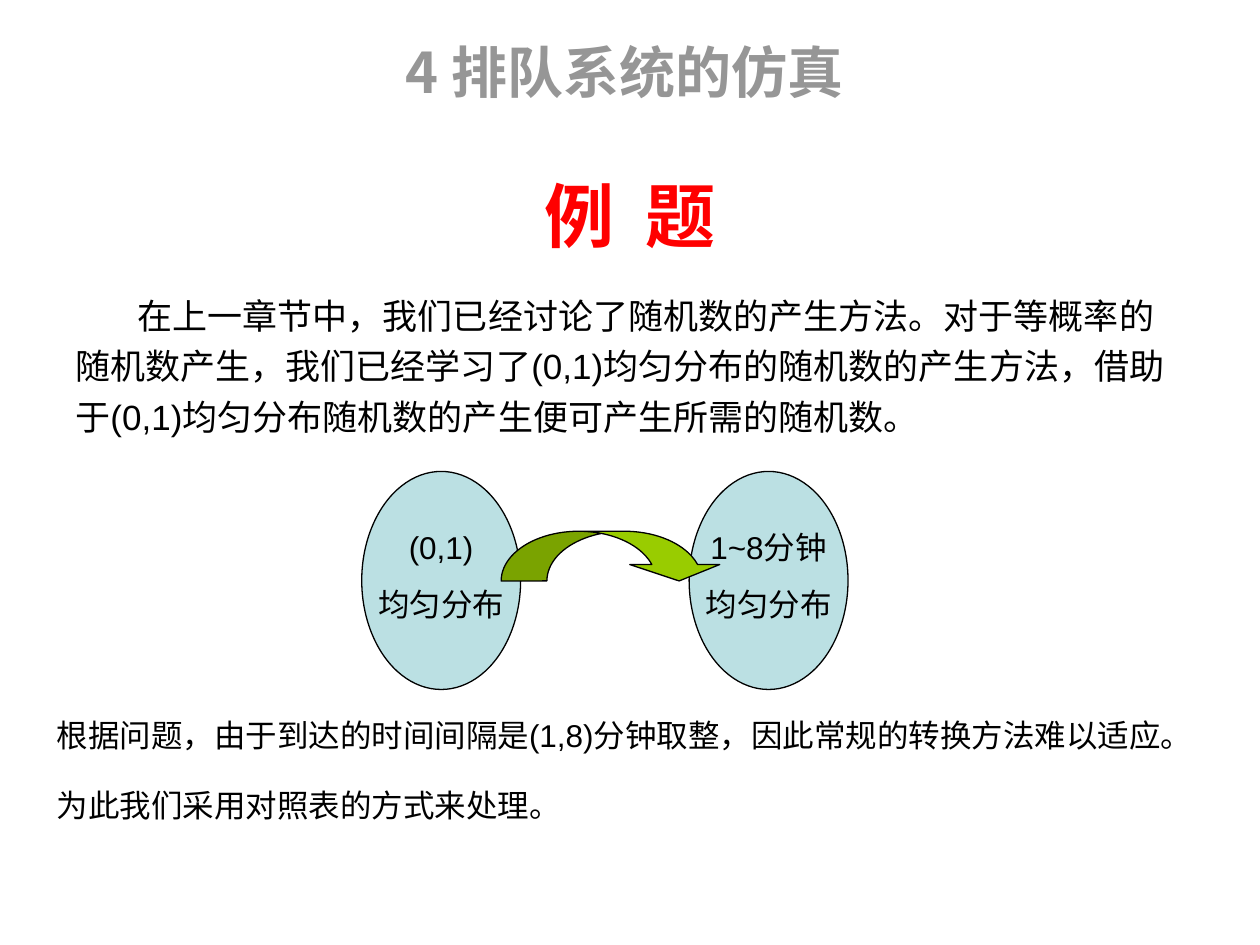
from pptx import Presentation
from pptx.dml.color import RGBColor
from pptx.enum.shapes import MSO_SHAPE
from pptx.enum.text import MSO_ANCHOR, MSO_AUTO_SIZE, PP_ALIGN
from pptx.oxml.ns import qn
from pptx.util import Pt

COLORS = {
    "text": "000000",
    "heading": "969696",
    "example": "FF0000",
    "ellipse": "BBE0E3",
    "arrow": "99CC00",
    "line": "000000",
}
BODY_FONT = "Arial"


def rgb(name):
    return RGBColor.from_string(COLORS[name])


def add_run(p, text, size, color="text", font=BODY_FONT, bold=False, spacing=0):
    r = p.add_run()
    r.text = text
    r.font.size = Pt(size)
    r.font.bold = bold
    r.font.name = font
    r.font.color.rgb = rgb(color)
    props = r._r.get_or_add_rPr()
    if font != BODY_FONT:
        ea = props.makeelement(qn("a:ea"), {"typeface": font})
        props.find(qn("a:latin")).addnext(ea)
    if spacing:
        props.set("spc", str(spacing * 100))


def add_box(shapes, left, top, width, height, inset=7.2, wrap=True,
            grow=True, anchor=MSO_ANCHOR.TOP):
    s = shapes.add_textbox(Pt(left), Pt(top), Pt(width), Pt(height))
    tf = s.text_frame
    tf.word_wrap = wrap
    tf.auto_size = MSO_AUTO_SIZE.SHAPE_TO_FIT_TEXT if grow else MSO_AUTO_SIZE.NONE
    tf.vertical_anchor = anchor
    tf.margin_left = tf.margin_right = Pt(inset)
    tf.margin_top = tf.margin_bottom = Pt(3.6)
    return tf


def add_filled(shapes, kind, left, top, width, height, color):
    s = shapes.add_shape(kind, Pt(left), Pt(top), Pt(width), Pt(height))
    s.shadow.inherit = False
    s.fill.solid()
    s.fill.fore_color.rgb = rgb(color)
    s.line.color.rgb = rgb("line")
    s.line.width = Pt(0.75)
    return s


def add_distribution(slide, left, lines):
    shapes = slide.shapes.add_group_shape().shapes
    add_filled(shapes, MSO_SHAPE.OVAL, left, 269.4, 90.8, 124.6, "ellipse")
    tf = add_box(shapes, left + 5.8, 298, 79.2, 62, inset=0)
    for i, line in enumerate(lines):
        p = tf.add_paragraph() if i else tf.paragraphs[0]
        p.alignment = PP_ALIGN.CENTER
        if i:
            p.space_before = Pt(11.2)
        add_run(p, line, 18)


def add_example_title(slide):
    tf = add_box(slide.shapes, 36, 77.8, 648, 90, grow=False,
                 anchor=MSO_ANCHOR.MIDDLE)
    p = tf.paragraphs[0]
    p.alignment = PP_ALIGN.CENTER
    for text, spacing in (("例", 0), (" ", 9), ("题", 0)):
        add_run(p, text, 40, "example", "Noto Sans CJK SC", True, spacing)


def add_intro(slide, text):
    tf = add_box(slide.shapes, 36, 159.8, 648, 356.4, grow=False)
    p = tf.paragraphs[0]
    p.line_spacing = 1.2
    p._p.get_or_add_pPr().set("indent", str(Pt(35.5)))
    add_run(p, text, 20)


def add_arrow(slide):
    s = add_filled(slide.shapes, MSO_SHAPE.CURVED_DOWN_ARROW,
                   286.4, 303.6, 127.4, 28.4, "arrow")
    for i, value in enumerate((0.92, 1.81, 0.33)):
        s.adjustments[i] = value


def main():
    prs = Presentation()
    prs.slide_width, prs.slide_height = Pt(720), Pt(540)
    slide = prs.slides.add_slide(prs.slide_layouts[6])

    add_example_title(slide)
    add_intro(slide, "在上一章节中，我们已经讨论了随机数的产生方法。对于等概率的"
                     "随机数产生，我们已经学习了(0,1)均匀分布的随机数的产生方法，"
                     "借助于(0,1)均匀分布随机数的产生便可产生所需的随机数。")
    add_distribution(slide, 206.7, ("(0,1)", "均匀分布"))
    add_distribution(slide, 393.8, ("1~8分钟", "均匀分布"))
    add_arrow(slide)

    notes = (
        (405.4, 668.9, "根据问题，由于到达的时间间隔是(1,8)分钟取整，因此常规的转换方法难以适应。"),
        (445.7, 663, "为此我们采用对照表的方式来处理。"),
    )
    for top, width, text in notes:
        tf = add_box(slide.shapes, 25.2, top, width, 28.8)
        add_run(tf.paragraphs[0], text, 18)

    tf = add_box(slide.shapes, 224.6, 18, 272.9, 46, wrap=False)
    add_run(tf.paragraphs[0], "4 排队系统的仿真", 32, "heading",
            "Noto Sans CJK JP", True)

    prs.save("out.pptx")


if __name__ == "__main__":
    main()
